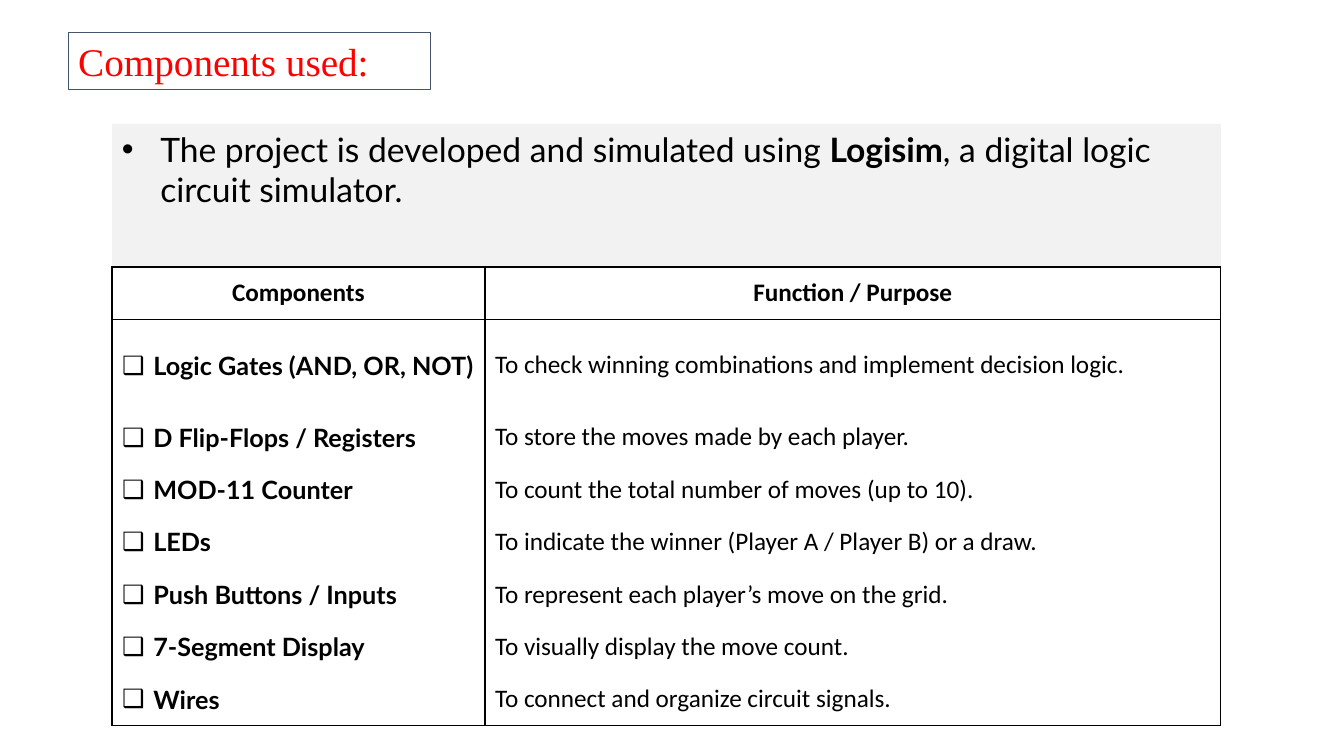
import pptx
import pptx.util
import pptx.dml.color
import pptx.enum.shapes
import pptx.enum.text
import pptx.oxml
import pptx.oxml.ns
from dataclasses import dataclass

Inches = pptx.util.Inches
Pt = pptx.util.Pt
Align = pptx.enum.text.PP_ALIGN
Anchor = pptx.enum.text.MSO_ANCHOR


@dataclass(frozen=True)
class Theme:
    ink: str = "000000"
    title: str = "FF0000"
    frame: str = "44546A"
    panel: str = "F2F2F2"
    serif: str = "Times New Roman"
    sans: str = "Calibri"
    strong: str = "Lato"
    large: int = 28
    lead: int = 24
    body: int = 18


theme = Theme()
WIDE, HIGH = 13.33, 7.5
COLS, ROWS = 120, 100

PARTS = [
    ("Logic Gates (AND, OR, NOT)", "To check winning combinations and implement decision logic."),
    ("D Flip-Flops / Registers", "To store the moves made by each player."),
    ("MOD-11 Counter", "To count the total number of moves (up to 10)."),
    ("LEDs", "To indicate the winner (Player A / Player B) or a draw."),
    ("Push Buttons / Inputs", "To represent each player’s move on the grid."),
    ("7-Segment Display", "To visually display the move count."),
    ("Wires", "To connect and organize circuit signals."),
]


def across(n):
    return Inches(WIDE * n / COLS)


def down(n):
    return Inches(HIGH * n / ROWS)


def color(code):
    return pptx.dml.color.RGBColor.from_string(code)


def node(tag, **attrs):
    item = pptx.oxml.parse_xml(f"<a:{tag} {pptx.oxml.ns.nsdecls('a')}/>")
    for key, val in attrs.items():
        item.set(key, str(val))
    return item


def write(frame, text, font=theme.sans, size=theme.body, ink=theme.ink, bold=False,
          align=Align.LEFT, bullet=None, indent=0, before=0, after=0):
    para = frame.paragraphs[0]
    para.alignment = align
    para.space_before, para.space_after = Pt(before), Pt(after)
    if bullet:
        props = para._p.get_or_add_pPr()
        props.set("marL", str(Inches(indent)))
        props.set("indent", str(-Inches(indent)))
        props.append(node("buFont", typeface="Arial"))
        props.append(node("buChar", char=bullet))
    runs = [(text, bold)] if isinstance(text, str) else text
    for words, heavy in runs:
        run = para.add_run()
        run.text = words
        run.font.name, run.font.size, run.font.bold = font, Pt(size), heavy
        run.font.color.rgb = color(ink)


def box(slide, left, top, width, height, fill=None, line=None):
    shape = slide.shapes.add_shape(
        pptx.enum.shapes.MSO_SHAPE.RECTANGLE,
        across(left), down(top), across(width), down(height))
    shape.shadow.inherit = False
    if fill:
        shape.fill.solid()
        shape.fill.fore_color.rgb = color(fill)
    else:
        shape.fill.background()
    if line:
        shape.line.color.rgb = color(line)
        shape.line.width = Pt(0.75)
    else:
        shape.line.fill.background()
    shape.text_frame.word_wrap = True
    shape.text_frame.vertical_anchor = Anchor.TOP
    return shape.text_frame


def edge(cell, sides):
    props = cell._tc.get_or_add_tcPr()
    for side in "LRTB":
        line = node(f"ln{side}", w=Pt(1))
        if side in sides:
            fill = node("solidFill")
            fill.append(node("srgbClr", val=theme.ink))
        else:
            fill = node("noFill")
        line.append(fill)
        props.append(line)


def grid(slide, left, top, widths, heights, head, rows):
    shape = slide.shapes.add_table(
        len(heights), len(widths), across(left), down(top),
        across(sum(widths)), down(sum(heights)))
    table = shape.table
    table.horz_banding = False
    for col, width in zip(table.columns, widths):
        col.width = across(width)
    for row, height in zip(table.rows, heights):
        row.height = down(height)
    part = dict(font=theme.strong, bold=True, bullet="❑", indent=0.31)
    for r, texts in enumerate([head, *rows]):
        sides = "LR" + ("TB" if r == 0 else "T" if r == 1 else "B" if r == len(rows) else "")
        for c, text in enumerate(texts):
            cell = table.cell(r, c)
            edge(cell, sides)
            cell.fill.background()
            cell.vertical_anchor = Anchor.MIDDLE
            style = dict(bold=True, align=Align.CENTER) if r == 0 else part if c == 0 else {}
            write(cell.text_frame, text, **style)


def main():
    deck = pptx.Presentation()
    deck.slide_width, deck.slide_height = Inches(WIDE), Inches(HIGH)
    slide = deck.slides.add_slide(deck.slide_layouts[6])

    title = box(slide, 6.1, 4.3, 32.3, 7.6, line=theme.frame)
    write(title, "Components used:", font=theme.serif, size=theme.large, ink=theme.title)

    intro = box(slide, 10, 16.4, 99, 18.8, fill=theme.panel)
    write(intro, [("The project is developed and simulated using ", False),
                  ("Logisim", True),
                  (", a digital logic circuit simulator.", False)],
          font=theme.strong, size=theme.lead, bullet="•", indent=0.38, before=3, after=9)

    step = 6.93
    heights = [step, 12.13] + [step] * (len(PARTS) - 1)
    grid(slide, 10, 35.33, [33.3, 65.7], heights,
         ("Components", "Function / Purpose"), PARTS)

    deck.save("out.pptx")


if __name__ == "__main__":
    main()
